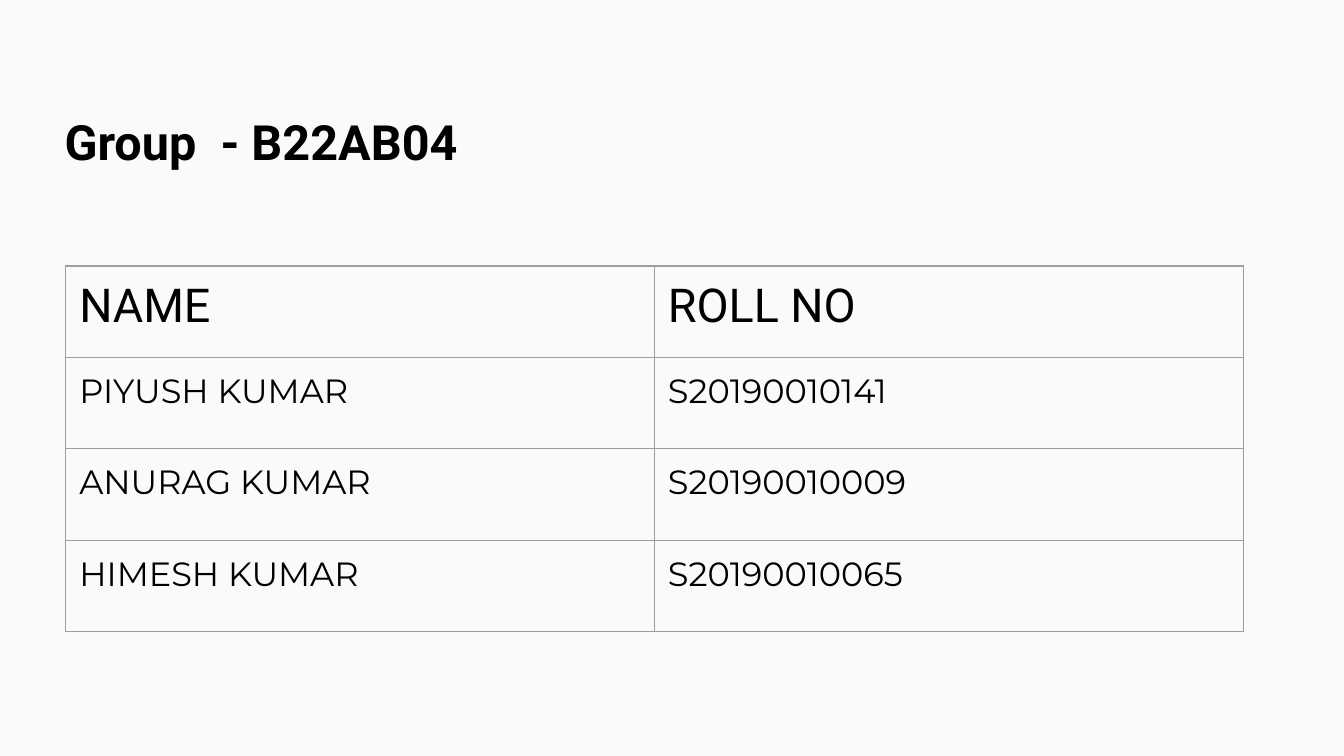
import lxml.etree
import pptx
import pptx.dml.color
import pptx.enum.text
import pptx.oxml.ns
import pptx.util

Inches = pptx.util.Inches
INK, PAPER, RULE = "000000", "FAFAFA", "9E9E9E"
SLIDE_WIDTH = 10
SLIDE_HEIGHT = SLIDE_WIDTH * 9 / 16
MARGIN = 0.1
MEMBERS = [
    ("NAME", "ROLL NO"),
    ("PIYUSH KUMAR", "S20190010141"),
    ("ANURAG KUMAR", "S20190010009"),
    ("HIMESH KUMAR", "S20190010065"),
]


def color(hex_code):
    return pptx.dml.color.RGBColor.from_string(hex_code)


def write(frame, text, font="Roboto", size=18, bold=False, ink=INK):
    paragraph = frame.paragraphs[0]
    paragraph.alignment = pptx.enum.text.PP_ALIGN.LEFT
    run = paragraph.add_run()
    run.text = text
    run.font.name = font
    run.font.size = pptx.util.Pt(size)
    run.font.bold = bold
    run.font.color.rgb = color(ink)


def set_margins(holder):
    for side in ("left", "top", "right", "bottom"):
        setattr(holder, f"margin_{side}", Inches(MARGIN))


def draw_borders(cell, hex_code, points):
    properties = cell._tc.get_or_add_tcPr()
    qn = pptx.oxml.ns.qn
    for position, edge in enumerate(("a:lnL", "a:lnR", "a:lnT", "a:lnB")):
        line = lxml.etree.Element(qn(edge), w=str(pptx.util.Pt(points)))
        fill = lxml.etree.SubElement(line, qn("a:solidFill"))
        lxml.etree.SubElement(fill, qn("a:srgbClr"), val=hex_code)
        properties.insert(position, line)


def place_heading(slide, text, left, top, width, height):
    heading = slide.shapes.title
    heading.left, heading.top = Inches(left), Inches(top)
    heading.width, heading.height = Inches(width), Inches(height)
    frame = heading.text_frame
    frame.word_wrap = True
    frame.auto_size = pptx.enum.text.MSO_AUTO_SIZE.NONE
    frame.vertical_anchor = pptx.enum.text.MSO_ANCHOR.TOP
    set_margins(frame)
    write(frame, text, size=26, bold=True)


def place_roster(slide, members, left, top, width, height):
    roster = slide.shapes.add_table(
        len(members), len(members[0]),
        Inches(left), Inches(top), Inches(width), Inches(height),
    ).table
    roster.first_row = roster.horz_banding = False
    for row, entries in enumerate(members):
        style = {"size": 25} if row == 0 else {"font": "Montserrat"}
        for column, entry in enumerate(entries):
            cell = roster.cell(row, column)
            cell.fill.background()
            cell.vertical_anchor = pptx.enum.text.MSO_ANCHOR.TOP
            set_margins(cell)
            draw_borders(cell, RULE, 0.75)
            write(cell.text_frame, entry, **style)


def main():
    deck = pptx.Presentation()
    deck.slide_width, deck.slide_height = Inches(SLIDE_WIDTH), Inches(SLIDE_HEIGHT)
    slide = deck.slides.add_slide(deck.slide_layouts.get_by_name("Title Only"))
    slide.background.fill.solid()
    slide.background.fill.fore_color.rgb = color(PAPER)
    place_heading(slide, "Group  - B22AB04", 0.38, 0.73, 9.12, 0.75)
    place_roster(slide, MEMBERS, 0.49, 1.98, 8.76, 2.72)
    deck.save("out.pptx")


if __name__ == "__main__":
    main()
